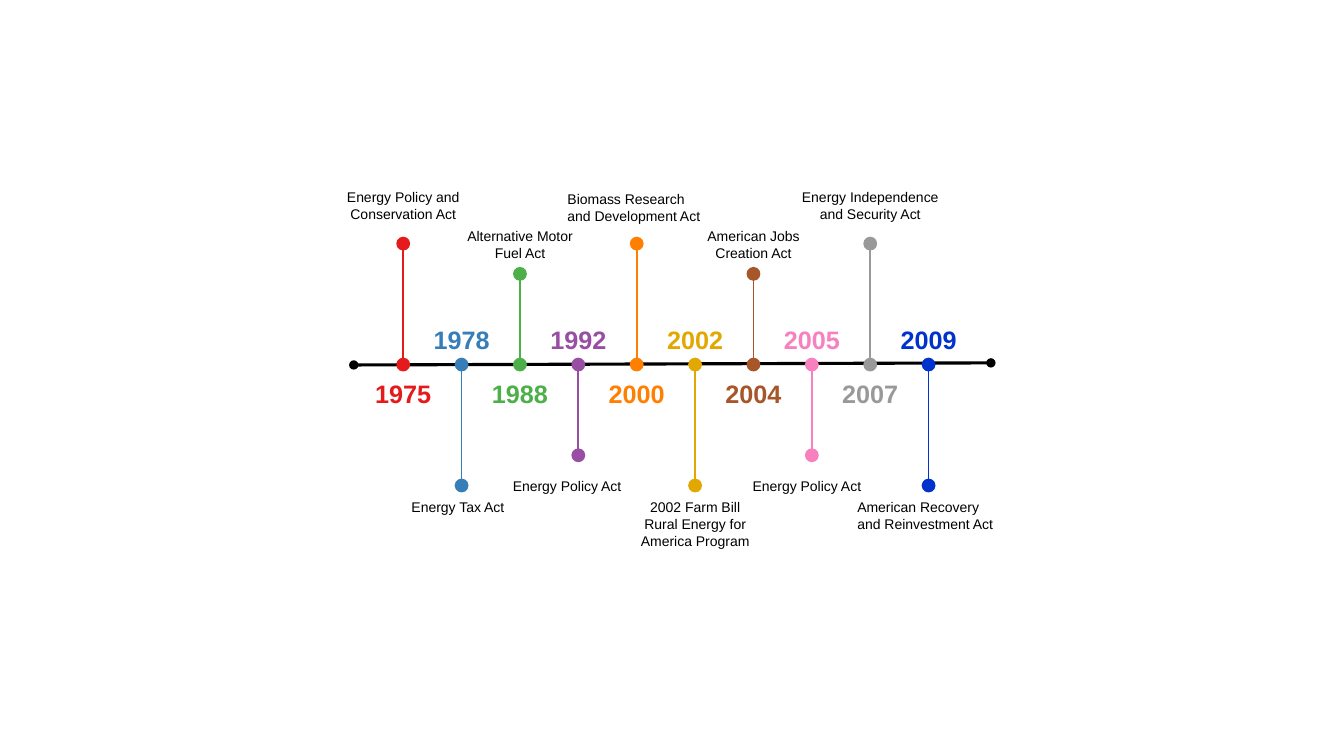
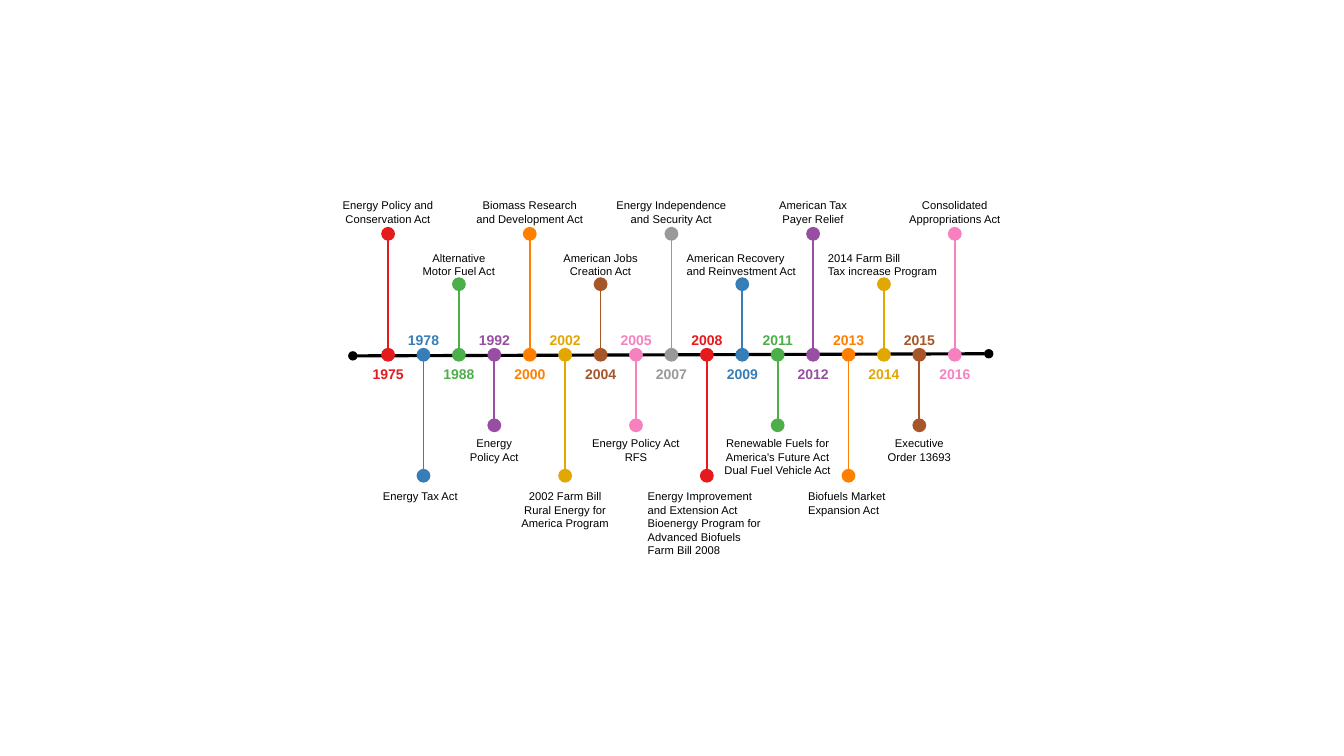
from dataclasses import dataclass

from lxml import etree
from pptx import Presentation
from pptx.dml.color import RGBColor
from pptx.enum import shapes, text
from pptx.oxml import ns
from pptx.util import Pt

BLACK = RGBColor(0x00, 0x00, 0x00)
RED = RGBColor(0xE4, 0x1A, 0x1C)
BLUE = RGBColor(0x37, 0x7E, 0xB8)
GREEN = RGBColor(0x4D, 0xAF, 0x4A)
PURPLE = RGBColor(0x98, 0x4E, 0xA3)
ORANGE = RGBColor(0xFF, 0x7F, 0x00)
GOLD = RGBColor(0xE2, 0xA7, 0x00)
BROWN = RGBColor(0xA6, 0x56, 0x28)
PINK = RGBColor(0xF7, 0x81, 0xBF)
GRAY = RGBColor(0x99, 0x99, 0x99)
ROYAL = RGBColor(0x00, 0x33, 0xCC)
CYCLE = [RED, BLUE, GREEN, PURPLE, ORANGE, GOLD, BROWN, PINK, GRAY]

LEFT, CENTER = text.PP_ALIGN.LEFT, text.PP_ALIGN.CENTER
LONG_STEM = 86.4


@dataclass
class Event:
    year: str
    paragraphs: list
    width: float
    lines: int = 2
    align: int = CENTER
    dx: float = 0
    dy: float = 0


@dataclass
class Layout:
    axis: tuple
    stem_y: float
    first_x: float
    step: float
    short_stem: float
    year_size: int
    year_box: tuple
    year_tops: tuple
    label_size: int
    label_tops: tuple
    palette: list


class TimelineDeck:
    font = "Arial"

    def __init__(self):
        self.prs = Presentation()
        self.prs.slide_width, self.prs.slide_height = Pt(960), Pt(540)
        self.group = None

    def new_slide(self):
        s = self.prs.slides.add_slide(self.prs.slide_layouts[6])
        self.group = s.shapes.add_group_shape()

    def dotted_line(self, x1, y1, x2, y2, color, width, dot):
        line = self.group.shapes.add_connector(
            shapes.MSO_CONNECTOR.STRAIGHT, Pt(x1), Pt(y1), Pt(x2), Pt(y2))
        line.line.color.rgb = color
        line.line.width = Pt(width)
        ln = line.line._get_or_add_ln()
        for end in ("a:headEnd", "a:tailEnd"):
            etree.SubElement(ln, ns.qn(end), type="oval", w=dot, len=dot)
        etree.SubElement(line._element.spPr, ns.qn("a:effectLst"))

    def text_box(self, cx, top, width, height, paragraphs, size, color=BLACK,
                 bold=False, align=CENTER, wrap=True):
        sp = self.group.shapes.add_textbox(
            Pt(cx - width / 2), Pt(top), Pt(width), Pt(height))
        tf = sp.text_frame
        tf.word_wrap = wrap
        tf.auto_size = text.MSO_AUTO_SIZE.SHAPE_TO_FIT_TEXT
        tf.text = "\n".join(paragraphs)
        for p in tf.paragraphs:
            p.alignment = align
            p.font.name = self.font
            p.font.size = Pt(size)
            p.font.bold = bold
            p.font.color.rgb = color

    def event(self, i, event, layout):
        x = layout.first_x + i * layout.step
        color = layout.palette[i % len(layout.palette)]
        tier = i % 4
        below = i % 2
        stem = LONG_STEM if tier < 2 else layout.short_stem
        end_y = layout.stem_y + (stem if below else -stem)
        self.dotted_line(x, layout.stem_y, x, end_y, color, 1.25, "lg")
        self.text_box(x, layout.year_tops[below], *layout.year_box,
                      [event.year], layout.year_size, color, bold=True, wrap=False)
        height = 7.2 + event.lines * layout.label_size * 1.2
        self.text_box(x + event.dx, layout.label_tops[tier] + event.dy,
                      event.width, height, event.paragraphs, layout.label_size,
                      align=event.align)

    def timeline(self, layout, events):
        self.new_slide()
        self.dotted_line(*layout.axis, BLACK, 2.25, "med")
        for i, event in enumerate(events):
            self.event(i, event, layout)


TO_2009 = Layout(
    axis=(252.7, 260.7, 707.8, 259.2), stem_y=260.4, first_x=288, step=41.7,
    short_stem=64.8, year_size=18, year_box=(54.7, 28.8),
    year_tops=(266.4, 227.8), label_size=10,
    label_tops=(131, 352.8, 159.1, 337.4), palette=CYCLE + [ROYAL])

TO_2016 = Layout(
    axis=(252, 254.2, 706.3, 252.7), stem_y=253.4, first_x=277.2, step=25.3,
    short_stem=50.4, year_size=10, year_box=(36.7, 19.4),
    year_tops=(257.8, 233.3), label_size=8,
    label_tops=(138.2, 346.3, 175.7, 308.2), palette=CYCLE)

FARM_BILL_2002 = ["2002 Farm Bill", "Rural Energy for America Program"]

EVENTS_TO_2009 = [
    Event("1975", ["Energy Policy and Conservation Act"], 100),
    Event("1978", ["Energy Tax Act"], 85.7, 1, LEFT),
    Event("1988", ["Alternative Motor Fuel Act"], 93),
    Event("1992", ["Energy Policy Act"], 95.8, 1, LEFT, dx=-6),
    Event("2000", ["Biomass Research and Development Act"], 113, 2, LEFT, dy=1.4),
    Event("2002", FARM_BILL_2002, 101.5, 3),
    Event("2004", ["American Jobs Creation Act"], 81.4),
    Event("2005", ["Energy Policy Act"], 95.8, 1, LEFT, dx=-1.5),
    Event("2007", ["Energy Independence and Security Act"], 113),
    Event("2009", ["American Recovery and Reinvestment Act"], 116, 2, LEFT),
]

EVENTS_TO_2016 = [
    Event("1975", ["Energy Policy and Conservation Act"], 80),
    Event("1978", ["Energy Tax Act"], 72, 1, LEFT),
    Event("1988", ["Alternative Motor Fuel Act"], 67.7),
    Event("1992", ["Energy Policy Act"], 54.7),
    Event("2000", ["Biomass Research and Development Act"], 93),
    Event("2002", FARM_BILL_2002, 78.5, 3),
    Event("2004", ["American Jobs Creation Act"], 69.8),
    Event("2005", ["Energy Policy Act", "RFS"], 78.5),
    Event("2007", ["Energy Independence and Security Act"], 93.6),
    Event("2008", ["Energy Improvement and Extension Act",
                   "Bioenergy Program for Advanced Biofuels",
                   "Farm Bill 2008"], 98.6, 5, LEFT),
    Event("2009", ["American Recovery and Reinvestment Act"], 93.6, 2, LEFT),
    Event("2011", ["Renewable Fuels for America's Future Act",
                   "Dual Fuel Vehicle Act"], 91.4, 3),
    Event("2012", ["American Tax Payer Relief"], 66.2),
    Event("2013", ["Biofuels Market Expansion Act"], 72, 2, LEFT),
    Event("2014", ["2014 Farm Bill", "Tax increase Program"], 94.3, 2, LEFT),
    Event("2015", ["Executive Order 13693"], 62.6),
    Event("2016", ["Consolidated Appropriations Act"], 81.4),
]


def main():
    deck = TimelineDeck()
    deck.timeline(TO_2009, EVENTS_TO_2009)
    deck.timeline(TO_2016, EVENTS_TO_2016)
    deck.prs.save("out.pptx")


if __name__ == "__main__":
    main()
